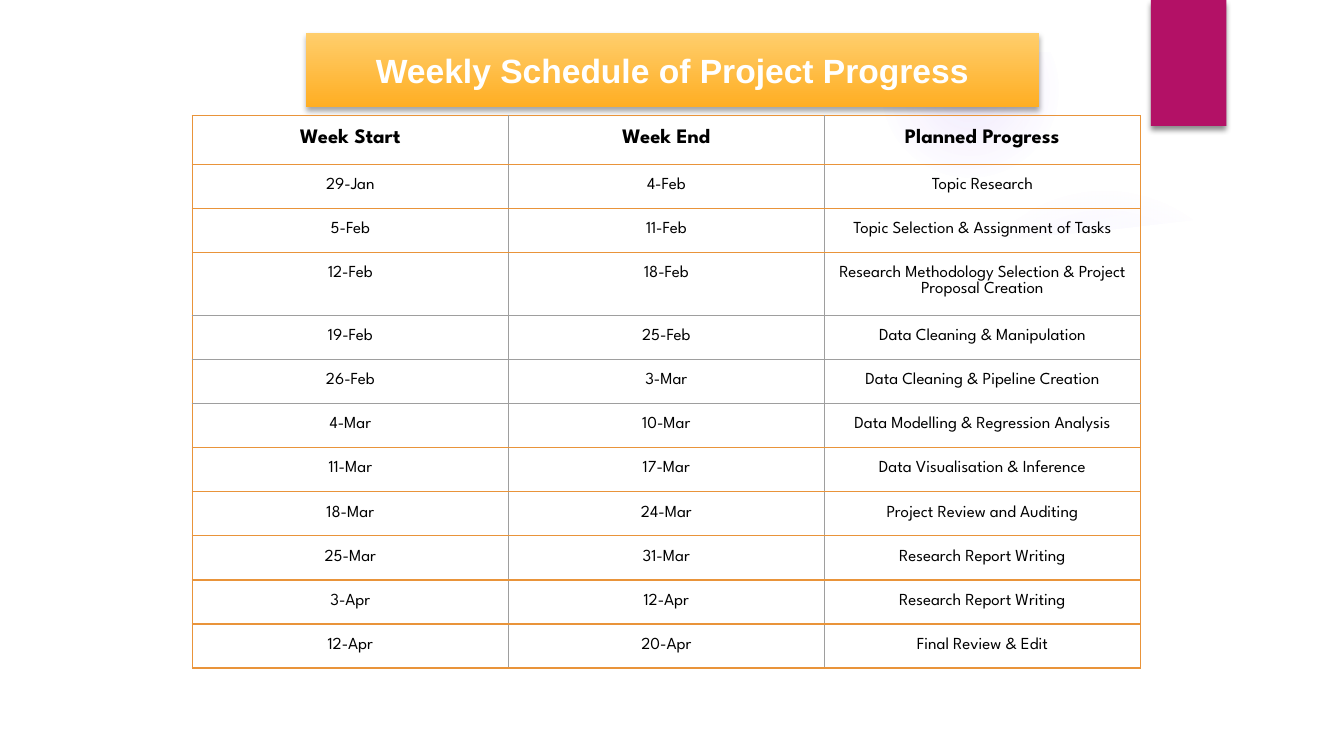
from dataclasses import dataclass
from typing import NamedTuple

from lxml.etree import SubElement
from pptx import Presentation
from pptx.dml.color import RGBColor
from pptx.enum.shapes import MSO_SHAPE
from pptx.enum.text import MSO_ANCHOR, MSO_AUTO_SIZE, PP_ALIGN
from pptx.oxml import parse_xml
from pptx.oxml.ns import nsdecls, qn
from pptx.util import Pt


@dataclass(frozen=True)
class Theme:
    glow: str = "9B6BF2"
    white: str = "FFFFFF"
    black: str = "000000"
    accent: str = "B31166"
    banner_low: str = "FFAE23"
    banner_high: str = "FFCE6C"
    border: str = "E9943A"
    inner_border: str = "9E9E9E"
    title_font: str = "Arial"
    table_font: str = "League Spartan"
    title_size: float = 18
    header_size: float = 11
    body_size: float = 9
    border_width: float = 0.75
    inset: float = 7.2


class Stop(NamedTuple):
    position: int
    color: str
    alpha: int = 100


class Glow(NamedTuple):
    left: float
    top: float
    diameter: float
    inner_alpha: int
    middle_alpha: int
    fade_end: int


class Week(NamedTuple):
    start: str
    end: str
    progress: str


THEME = Theme()
WIDTH, HEIGHT = 720, 405
GLOWS = [
    Glow(0, 157.5, 247.5, 11, 10, 75),
    Glow(0, 171, 139.5, 8, 8, 72),
    Glow(508.5, 346.5, 58.5, 14, 7, 66),
    Glow(508.5, 99, 166.5, 7, 6, 69),
    Glow(472.5, 0.75, 94.5, 14, 7, 73),
]
STREAK = [(504.7, 134.6), (560, 133), (625, 125), (696.2, 115.2), (692.6, 90),
          (655, 101), (611, 113), (557, 124), (501.8, 131)]
PANEL = [(27, 110), (27, 378), (693, 378), (693, 110), (648, 117), (588, 124), (527, 129),
         (468, 132), (396, 134), (328, 133.5), (264, 131.5), (194, 127.5), (117, 121), (61, 115)]
OUTER_FRAME = [(0, 0), (0, HEIGHT), (WIDTH, HEIGHT), (WIDTH, 0)]
INNER_FRAME = [(691, 376.5), (28, 376.5), (28, 28), (691, 28)]

HEADER = Week("Week Start", "Week End", "Planned Progress")
WEEKS = [
    Week("29-Jan", "4-Feb", "Topic Research"),
    Week("5-Feb", "11-Feb", "Topic Selection & Assignment of Tasks"),
    Week("12-Feb", "18-Feb", "Research Methodology Selection & Project Proposal Creation"),
    Week("19-Feb", "25-Feb", "Data Cleaning & Manipulation"),
    Week("26-Feb", "3-Mar", "Data Cleaning & Pipeline Creation"),
    Week("4-Mar", "10-Mar", "Data Modelling & Regression Analysis"),
    Week("11-Mar", "17-Mar", "Data Visualisation & Inference"),
    Week("18-Mar", "24-Mar", "Project Review and Auditing"),
    Week("25-Mar", "31-Mar", "Research Report Writing"),
    Week("3-Apr", "12-Apr", "Research Report Writing"),
    Week("12-Apr", "20-Apr", "Final Review & Edit"),
]
COLUMN_WIDTH = 169.3
HEADER_HEIGHT, ROW_HEIGHT, TALL_ROW_HEIGHT = 26, 23.62, 33.8
TALL_ROW = 3
GREY_EDGES = (4, 5, 6)


def fill_gradient(shape, stops: list[Stop], direction: str) -> None:
    """Fill with stops; direction is the a:lin or a:path element."""
    shape.fill.gradient()
    marks = "".join(
        f'<a:gs pos="{stop.position * 1000}"><a:srgbClr val="{stop.color}">'
        f'<a:alpha val="{stop.alpha * 1000}"/></a:srgbClr></a:gs>' for stop in stops)
    gradient = parse_xml(f'<a:gradFill {nsdecls("a")} rotWithShape="1">'
                         f"<a:gsLst>{marks}</a:gsLst>{direction}</a:gradFill>")
    properties = shape._element.spPr
    properties.replace(properties.find(qn("a:gradFill")), gradient)


def fill_solid(shape, color: str, alpha: int = 100) -> None:
    shape.fill.solid()
    shape.fill.fore_color.rgb = RGBColor.from_string(color)
    if alpha < 100:
        tint = shape._element.spPr.find(qn("a:solidFill"))[0]
        SubElement(tint, qn("a:alpha"), val=str(alpha * 1000))


def cast_shadow(shape, alpha: int, blur: float, distance: float) -> None:
    shape.shadow.inherit = False
    effects = shape._element.spPr.find(qn("a:effectLst"))
    shadow = SubElement(effects, qn("a:outerShdw"), blurRad=str(Pt(blur)),
                        dist=str(Pt(distance)), dir="5400000", rotWithShape="0")
    color = SubElement(shadow, qn("a:srgbClr"), val=THEME.black)
    SubElement(color, qn("a:alpha"), val=str(alpha * 1000))


def add_glow(slide, glow: Glow) -> None:
    ellipse = slide.shapes.add_shape(MSO_SHAPE.OVAL, Pt(glow.left), Pt(glow.top),
                                     Pt(glow.diameter), Pt(glow.diameter))
    stops = [Stop(0, THEME.glow, glow.inner_alpha), Stop(36, THEME.glow, glow.middle_alpha),
             Stop(glow.fade_end, THEME.glow, 0)]
    fill_gradient(ellipse, stops, '<a:path path="circle"><a:fillToRect l="50000" t="50000" '
                                  'r="50000" b="50000"/></a:path>')
    ellipse.line.fill.background()
    ellipse.shadow.inherit = False


def add_outline(slide, *contours: list[tuple[float, float]], alpha: int = 100) -> None:
    """Draw a white shape; a second contour cuts a hole."""
    first, *holes = contours
    builder = slide.shapes.build_freeform(Pt(first[0][0]), Pt(first[0][1]))
    builder.add_line_segments([(Pt(x), Pt(y)) for x, y in first[1:]])
    for hole in holes:
        builder.move_to(Pt(hole[0][0]), Pt(hole[0][1]))
        builder.add_line_segments([(Pt(x), Pt(y)) for x, y in hole[1:]])
    outline = builder.convert_to_shape()
    fill_solid(outline, THEME.white, alpha)
    outline.line.fill.background()
    outline.shadow.inherit = False


def add_accent_tab(slide) -> None:
    tab = slide.shapes.add_shape(MSO_SHAPE.RECTANGLE, Pt(616.5), Pt(0), Pt(40.5), Pt(67.5))
    fill_solid(tab, THEME.accent)
    tab.line.fill.background()
    cast_shadow(tab, 45, 3, 2)


def format_text(frame, font: str, size: float, color: str, bold: bool) -> None:
    for paragraph in frame.paragraphs:
        paragraph.alignment = PP_ALIGN.CENTER
        for run in paragraph.runs:
            run.font.name = font
            run.font.size = Pt(size)
            run.font.bold = bold
            run.font.color.rgb = RGBColor.from_string(color)


def set_insets(holder) -> None:
    holder.margin_left = holder.margin_right = Pt(THEME.inset)
    holder.margin_top = holder.margin_bottom = Pt(THEME.inset)


def place_title(slide) -> None:
    title = slide.shapes.title
    title.left, title.top, title.width, title.height = Pt(164), Pt(17.6), Pt(392.5), Pt(39.8)
    fill_gradient(title, [Stop(0, THEME.banner_low), Stop(100, THEME.banner_high)],
                  '<a:lin ang="16200000" scaled="0"/>')
    cast_shadow(title, 35, 3.1, 1.8)
    frame = title.text_frame
    frame.text = "Weekly Schedule of Project Progress"
    frame.word_wrap = True
    frame.auto_size = MSO_AUTO_SIZE.NONE
    frame.vertical_anchor = MSO_ANCHOR.MIDDLE
    set_insets(frame)
    format_text(frame, THEME.title_font, THEME.title_size, THEME.white, True)
    slide.shapes._spTree.append(title._element)


def set_borders(cell, row: int, column: int) -> None:
    sides = {
        "lnL": column > 0,
        "lnR": column < len(HEADER) - 1,
        "lnT": row in GREY_EDGES,
        "lnB": row + 1 in GREY_EDGES,
    }
    properties = cell._tc.get_or_add_tcPr()
    for position, (side, is_grey) in enumerate(sides.items()):
        color = THEME.inner_border if is_grey else THEME.border
        properties.insert(position, parse_xml(
            f'<a:{side} {nsdecls("a")} w="{Pt(THEME.border_width)}"><a:solidFill>'
            f'<a:srgbClr val="{color}"/></a:solidFill></a:{side}>'))


def add_schedule(slide) -> None:
    entries = [HEADER, *WEEKS]
    heights = [HEADER_HEIGHT] + [ROW_HEIGHT] * len(WEEKS)
    heights[TALL_ROW] = TALL_ROW_HEIGHT
    schedule = slide.shapes.add_table(len(entries), len(HEADER), Pt(103), Pt(62),
                                      Pt(COLUMN_WIDTH * len(HEADER)), Pt(sum(heights))).table
    schedule.first_row = schedule.horz_banding = False
    for column in schedule.columns:
        column.width = Pt(COLUMN_WIDTH)
    for row, (entry, height) in enumerate(zip(entries, heights)):
        schedule.rows[row].height = Pt(height)
        size = THEME.body_size if row else THEME.header_size
        for column, wording in enumerate(entry):
            cell = schedule.cell(row, column)
            cell.text_frame.text = wording
            cell.fill.background()
            set_insets(cell)
            format_text(cell.text_frame, THEME.table_font, size, THEME.black, row == 0)
            set_borders(cell, row, column)


def main() -> None:
    deck = Presentation()
    deck.slide_width, deck.slide_height = Pt(WIDTH), Pt(HEIGHT)
    slide = deck.slides.add_slide(deck.slide_layouts[5])
    for glow in GLOWS:
        add_glow(slide, glow)
    add_outline(slide, STREAK, alpha=20)
    add_outline(slide, PANEL)
    add_outline(slide, OUTER_FRAME, INNER_FRAME)
    add_accent_tab(slide)
    place_title(slide)
    add_schedule(slide)
    deck.save("out.pptx")


if __name__ == "__main__":
    main()
